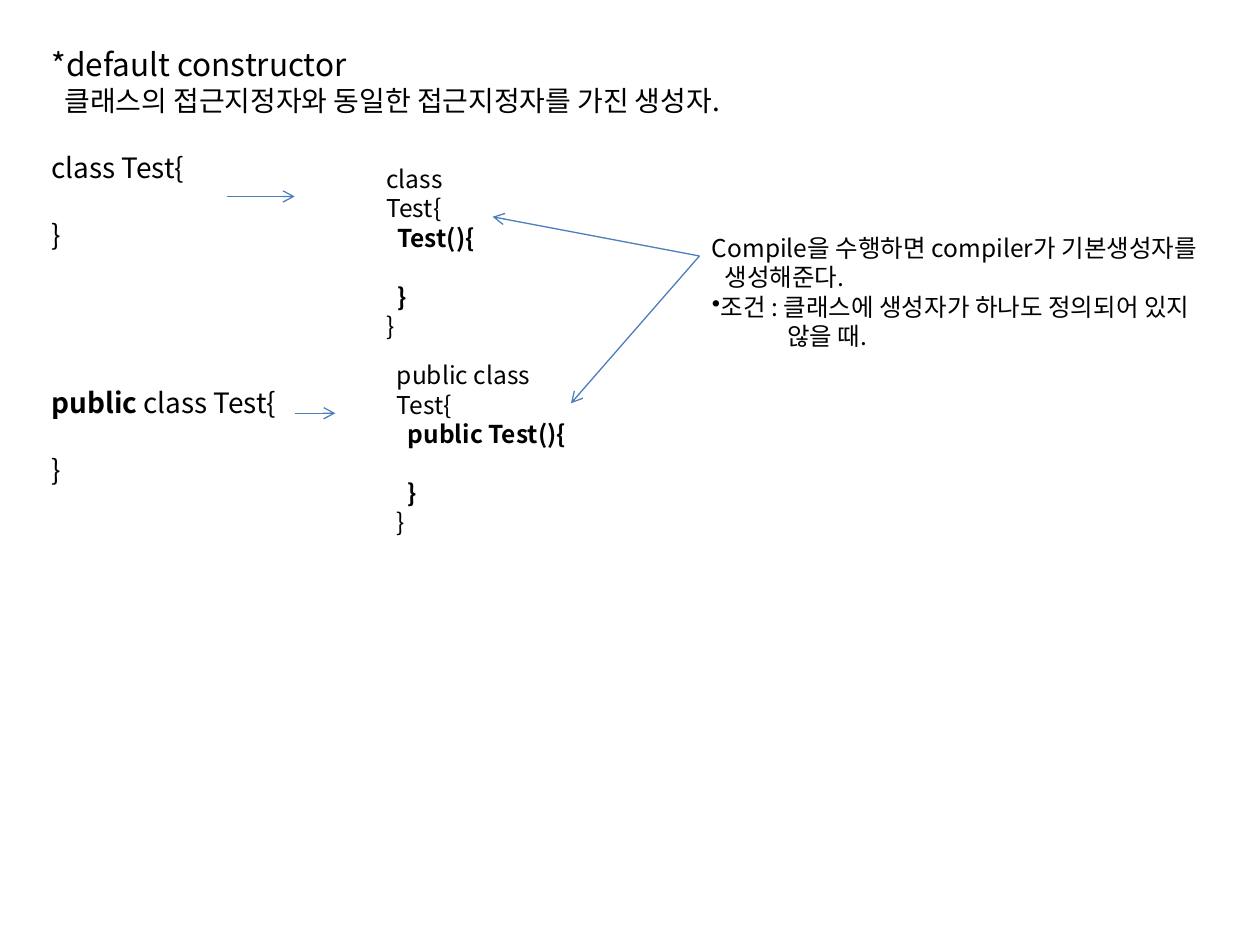
import pptx
import pptx.util
import pptx.dml.color
import pptx.enum.shapes
import pptx.oxml
import pptx.oxml.ns
from lxml import etree

Cm, Pt = pptx.util.Cm, pptx.util.Pt
FONT, BLACK, BLUE = "Noto Sans CJK KR", "000000", "4B7EBC"
PITCH = 1.2  # line height as a multiple of the text size


def code(head, body):
    """Lines of a class that holds one empty constructor."""
    return [
        dict(runs=[(head, False)]),
        dict(runs=[(body, True)], left=0.22),
        dict(runs=[("}", True)], left=0.22, skip=1),
        dict(runs=[("}", False)]),
    ]


# left, top, width, height in cm; text size; lines
# skip is the number of empty lines above a line
BOXES = [
    (0.79, 0.79, 15.72, 11.28, 16, [
        dict(runs=[("*default constructor", False)], size=18),
        dict(runs=[("클래스의 접근지정자와 동일한 접근지정자를 가진 생성자.", False)], left=0.26),
        dict(runs=[("class Test{", False)], skip=1),
        dict(runs=[("}", False)], skip=1),
        dict(runs=[("public", True), (" class Test{", False)], skip=4),
        dict(runs=[("}", False)], skip=1),
    ]),
    (7.54, 3.18, 2.77, 3.25, 14, code("class Test{", "Test(){")),
    (7.75, 7.14, 4.32, 3.25, 14, code("public class Test{", "public Test(){")),
    (14.1, 4.57, 11.63, 2.64, 14, [
        dict(runs=[("Compile을 수행하면 compiler가 기본생성자를", False)]),
        dict(runs=[("생성해준다.", False)], left=0.26),
        dict(runs=[("조건 : 클래스에 생성자가 하나도 정의되어 있지", False)], mark="•"),
        dict(runs=[("않을 때.", False)], left=1.52),
    ]),
]

NOTE = (14.1, 5.16)
ARROWS = [
    ((4.57, 3.96), (5.94, 3.96)),
    ((5.94, 8.33), (6.76, 8.33)),
    (NOTE, (9.93, 4.37)),
    (NOTE, (11.51, 8.13)),
]


def color(text):
    return pptx.dml.color.RGBColor.from_string(text)


def tag(node, name, **attrs):
    return etree.SubElement(node, pptx.oxml.ns.qn(name), **attrs)


def write(para, text, size=14, bold=False, fill=BLACK):
    run = para.add_run()
    run.text = text
    font = run.font
    font.size, font.bold, font.name = Pt(size), bold, FONT
    font.color.rgb = color(fill)
    tag(font._element, "a:ea", typeface=FONT)


def add_box(slide, left, top, width, height, size, lines):
    box = slide.shapes.add_textbox(Cm(left), Cm(top), Cm(width), Cm(height))
    frame = box.text_frame
    frame.word_wrap = True
    for i, line in enumerate(lines):
        para = frame.add_paragraph() if i else frame.paragraphs[0]
        para.space_before = Pt(line.get("skip", 0) * size * PITCH)
        props = para._p.get_or_add_pPr()
        props.set("marL", str(Cm(line.get("left", 0))))
        props.set("indent", "0")
        if "mark" in line:
            tag(props, "a:buChar", char=line["mark"])
        for text, bold in line["runs"]:
            write(para, text, size=line.get("size", size), bold=bold)


def add_arrow(slide, start, end):
    kind = pptx.enum.shapes.MSO_CONNECTOR.STRAIGHT
    arrow = slide.shapes.add_connector(kind, *map(Cm, start + end))
    arrow.line.color.rgb = color(BLUE)
    arrow.line.width = Pt(0.75)
    tag(arrow.line._get_or_add_ln(), "a:tailEnd", type="arrow")
    tag(arrow._element.spPr, "a:effectLst")


def main():
    deck = pptx.Presentation()
    deck.slide_width, deck.slide_height = Cm(25.4), Cm(19.05)
    slide = deck.slides.add_slide(deck.slide_layouts[6])
    for box in BOXES:
        add_box(slide, *box)
    for start, end in ARROWS:
        add_arrow(slide, start, end)
    deck.save("out.pptx")


if __name__ == "__main__":
    main()
